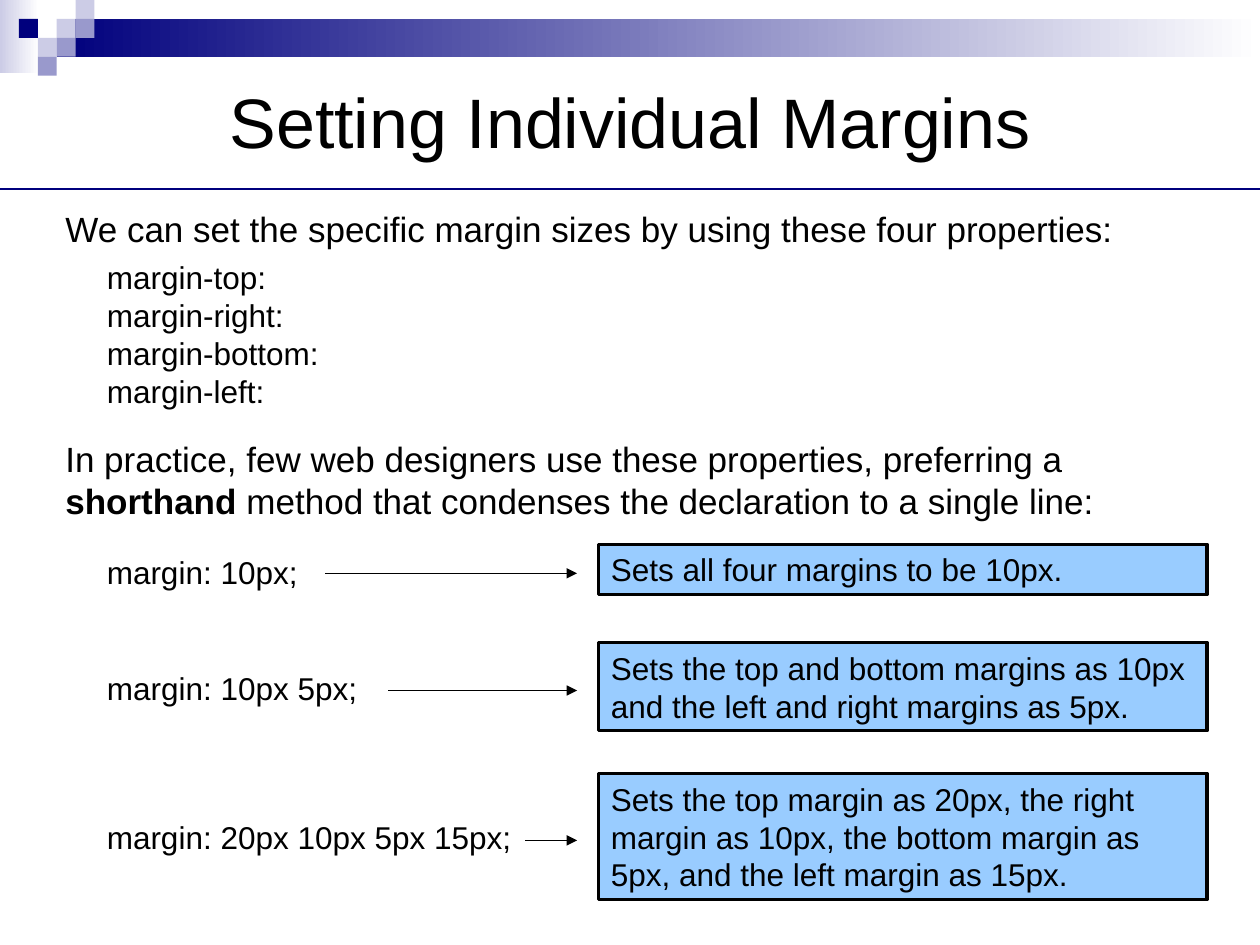
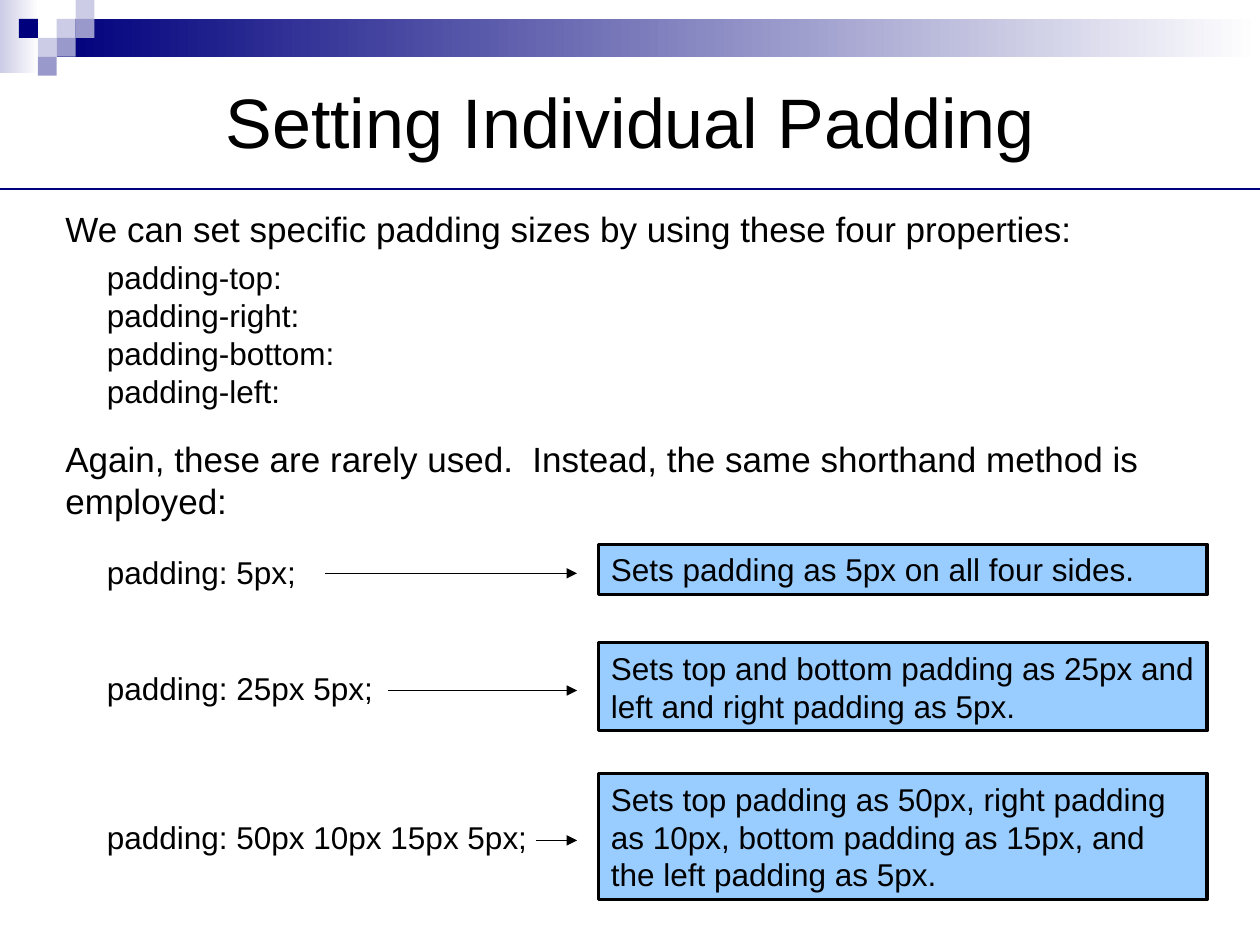
from lxml import etree
from pptx import Presentation
from pptx.dml.color import RGBColor
from pptx.enum import shapes, text
from pptx.oxml import ns
from pptx.util import Inches, Pt

COLORS = {"ink": "000000", "navy": "00007D", "lilac": "9999CC", "pale": "CCCCE6", "sky": "99CCFF", "white": "FFFFFF"}
RGB = {name: RGBColor.from_string(value) for name, value in COLORS.items()}
FONT = "Arial"

BANDS = [((0, 0, 0.31, 0.58), "pale"), ((0.45, 0.15, 9.55, 0.3), "navy")]
SQUARE = 0.15
SQUARES = [(3, 1, "pale"), (4, 0, "pale"), (4, 1, "lilac"), (2, 2, "pale"), (1, 1, "navy"), (3, 2, "lilac"), (2, 3, "lilac")]
SIDES = ["top", "right", "bottom", "left"]
ROWS = [(4.34, 4.55, 4.32, 0.4), (5.26, 5.48, 5.1, 0.7), (6.44, 6.67, 6.14, 1)]
ARROW_END = 4.58

TOPICS = [
    {
        "title": "Setting Individual Margins",
        "property": "margin",
        "intro": "We can set the specific margin sizes by using these four properties:",
        "shorthand": "In practice, few web designers use these properties, preferring a **shorthand** method that condenses the declaration to a single line:",
        "examples": [
            ("10px", 1.83, 2.58, "Sets all four margins to be 10px."),
            ("10px 5px", 2.25, 3.08, "Sets the top and bottom margins as 10px and the left and right margins as 5px."),
            ("20px 10px 5px 15px", 3.5, 4.17, "Sets the top margin as 20px, the right margin as 10px, the bottom margin as 5px, and the left margin as 15px."),
        ],
    },
    {
        "title": "Setting Individual Padding",
        "property": "padding",
        "intro": "We can set specific padding sizes by using these four properties:",
        "shorthand": "Again, these are rarely used.  Instead, the same shorthand method is employed:",
        "examples": [
            ("5px", 2, 2.58, "Sets padding as 5px on all four sides."),
            ("25px 5px", 2.42, 3.08, "Sets top and bottom padding as 25px and left and right padding as 5px."),
            ("50px 10px 15px 5px", 3.58, 4.25, "Sets top padding as 50px, right padding as 10px, bottom padding as 15px, and the left padding as 5px."),
        ],
    },
]


def write(shape, *paragraphs, size=18, align=text.PP_ALIGN.LEFT, anchor=text.MSO_ANCHOR.TOP, grow=True, space=0):
    frame = shape.text_frame
    frame.word_wrap = True
    frame.vertical_anchor = anchor
    frame.auto_size = text.MSO_AUTO_SIZE.SHAPE_TO_FIT_TEXT if grow else text.MSO_AUTO_SIZE.NONE
    for number, content in enumerate(paragraphs):
        paragraph = frame.add_paragraph() if number else frame.paragraphs[0]
        paragraph.alignment = align
        paragraph.space_before = paragraph.space_after = Pt(space)
        for part, words in enumerate(content.split("**")):
            run = paragraph.add_run()
            run.text = words
            run.font.name = FONT
            run.font.size = Pt(size)
            run.font.bold = part % 2 == 1
            run.font.color.rgb = RGB["ink"]


def draw_line(slide, start, end, y, color, width, arrow=False):
    line = slide.shapes.add_connector(shapes.MSO_CONNECTOR.STRAIGHT, Inches(start), Inches(y), Inches(end), Inches(y))
    line.line.color.rgb = RGB[color]
    line.line.width = Pt(width)
    if arrow:
        etree.SubElement(line.line._get_or_add_ln(), ns.qn("a:tailEnd"), type="triangle")
    etree.SubElement(line._element.spPr, ns.qn("a:effectLst"))


deck = Presentation()
deck.slide_width, deck.slide_height = Inches(10), Inches(7.5)

for topic in TOPICS:
    slide = deck.slides.add_slide(deck.slide_layouts[5])
    slide.background.fill.solid()
    slide.background.fill.fore_color.rgb = RGB["white"]

    for place, color in BANDS:
        band = slide.shapes.add_shape(shapes.MSO_SHAPE.RECTANGLE, *map(Inches, place))
        band.shadow.inherit = False
        band.line.fill.background()
        band.fill.gradient()
        band.fill.gradient_angle = 0
        for stop, position, shade in zip(band.fill.gradient_stops, (0, 1), (color, "white")):
            stop.position = position
            stop.color.rgb = RGB[shade]

    for column, row, color in SQUARES:
        square = slide.shapes.add_shape(
            shapes.MSO_SHAPE.RECTANGLE, Inches(column * SQUARE), Inches(row * SQUARE), Inches(SQUARE), Inches(SQUARE)
        )
        square.shadow.inherit = False
        square.line.fill.background()
        square.fill.solid()
        square.fill.fore_color.rgb = RGB[color]

    draw_line(slide, 0, 10, 1.5, "navy", 1.25)

    title = slide.shapes.title
    title.left, title.top, title.width, title.height = map(Inches, (0.5, 0.42, 9, 1.08))
    write(title, topic["title"], size=40, align=text.PP_ALIGN.CENTER, anchor=text.MSO_ANCHOR.MIDDLE, grow=False)

    intro = slide.shapes.add_textbox(*map(Inches, (0.42, 1.6, 9.25, 0.44)))
    write(intro, topic["intro"], size=20)
    properties = slide.shapes.add_textbox(*map(Inches, (0.75, 2, 2.08, 1.3)))
    write(properties, *[f"{topic['property']}-{side}:" for side in SIDES])
    shorthand = slide.shapes.add_textbox(*map(Inches, (0.42, 3.42, 9.25, 0.77)))
    write(shorthand, topic["shorthand"], size=20)

    for (code_top, arrow_y, effect_top, effect_height), (values, code_width, arrow_start, meaning) in zip(ROWS, topic["examples"]):
        code = slide.shapes.add_textbox(Inches(0.75), Inches(code_top), Inches(code_width), Inches(0.4))
        write(code, f"{topic['property']}: {values};")
        effect = slide.shapes.add_shape(
            shapes.MSO_SHAPE.RECTANGLE, Inches(4.75), Inches(effect_top), Inches(4.83), Inches(effect_height)
        )
        effect.shadow.inherit = False
        effect.fill.solid()
        effect.fill.fore_color.rgb = RGB["sky"]
        effect.line.color.rgb = RGB["ink"]
        effect.line.width = Pt(2)
        write(effect, meaning, space=6)
        draw_line(slide, arrow_start, ARROW_END, arrow_y, "ink", 0.75, arrow=True)

deck.save("out.pptx")
